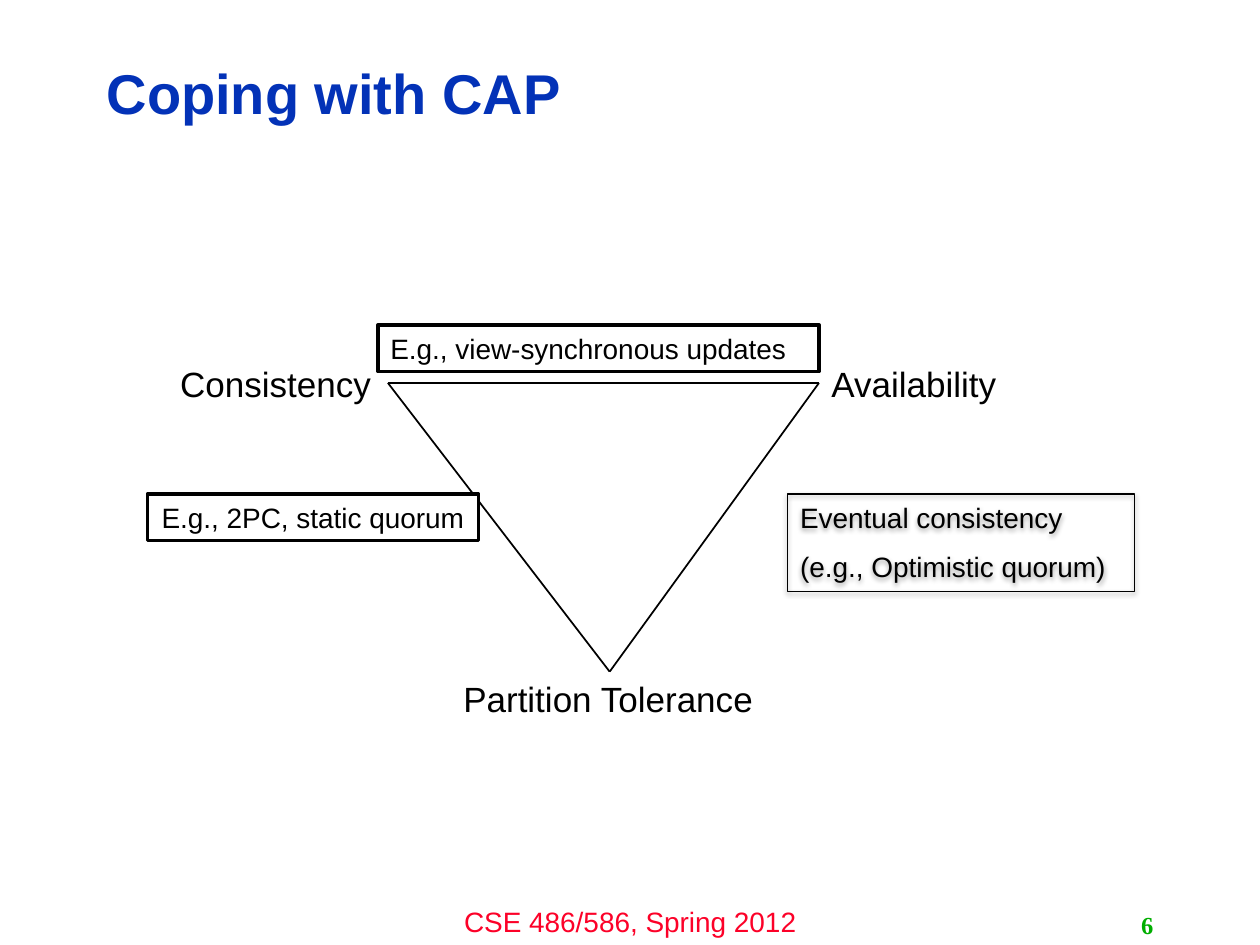
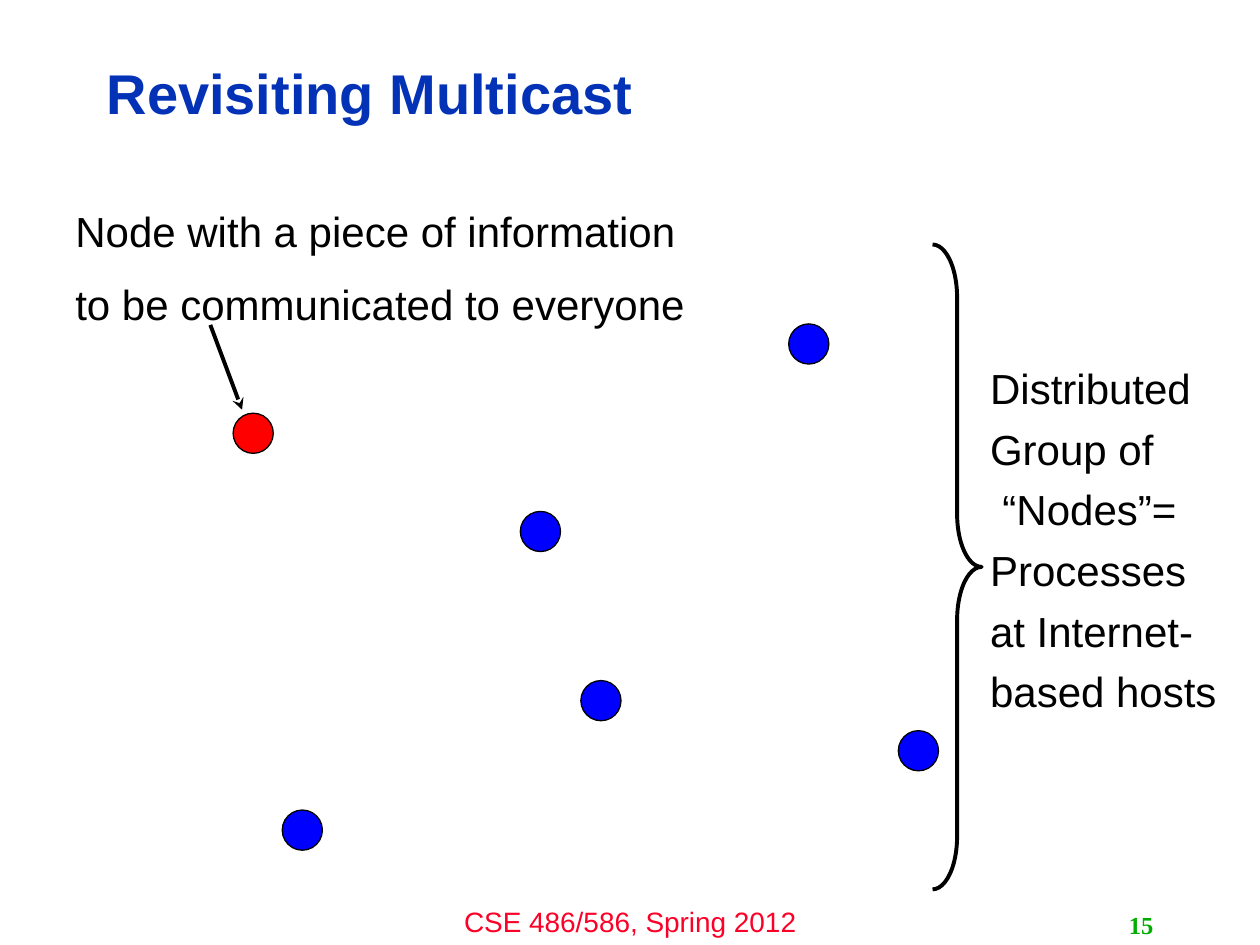
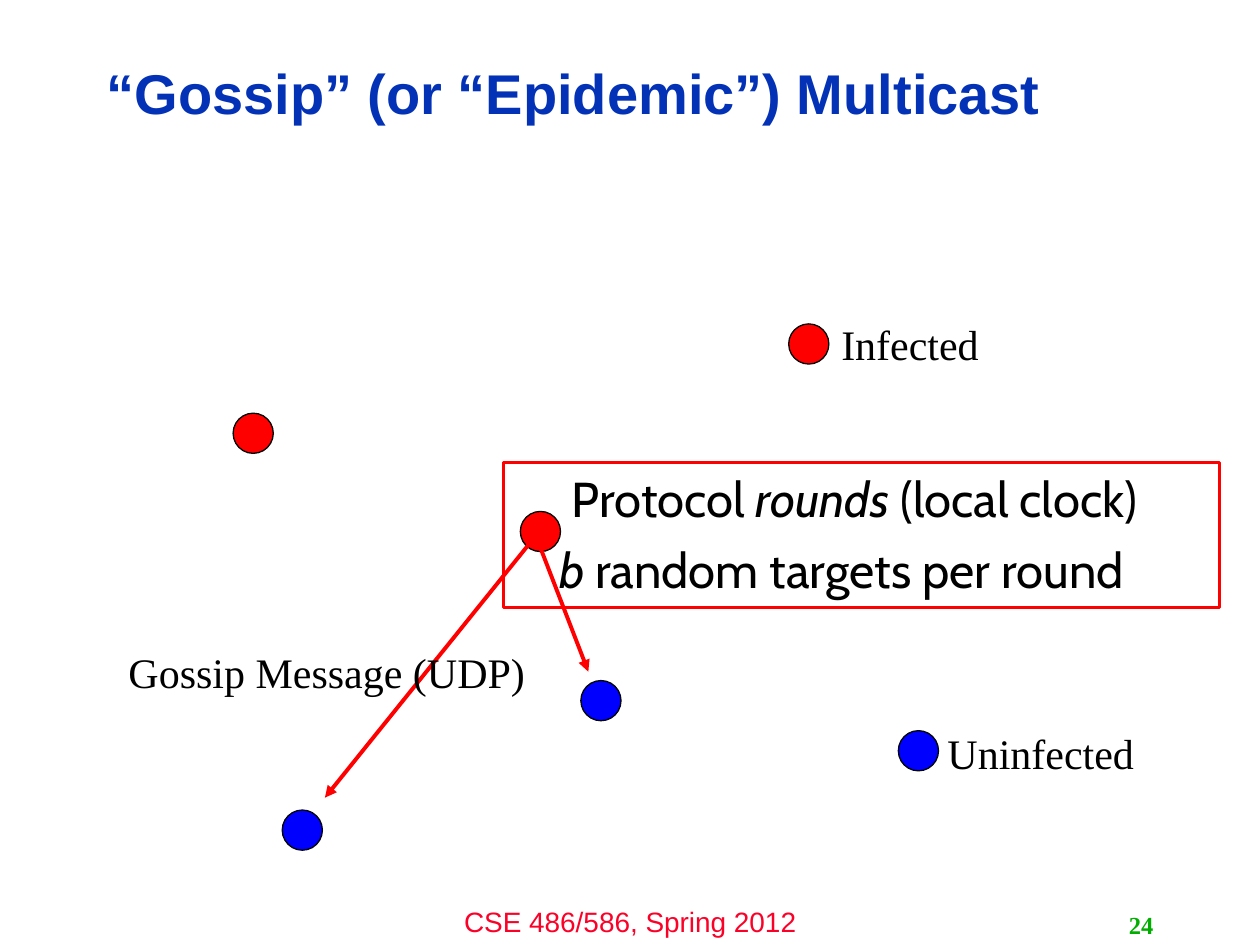
from collections import namedtuple

from lxml.etree import SubElement
from pptx import Presentation
from pptx.dml.color import RGBColor
from pptx.enum.shapes import MSO_CONNECTOR, MSO_SHAPE
from pptx.enum.text import MSO_ANCHOR as Anchor, PP_ALIGN as Align
from pptx.oxml.ns import qn
from pptx.util import Cm, Pt

COLORS = {
    "title": "0332B7",
    "footer": "FC0128",
    "number": "00AE00",
    "ink": "000000",
    "paper": "FFFFFF",
    "infected": "FF0000",
    "uninfected": "0000FF",
}
SANS, SERIF, ROUNDED = "Arial", "Times New Roman", "Cabin"
WIDE_GAP, NARROW_GAP = 0.55, 0.24  # space before, as a share of the text size

# All lengths are centimetres.
Box = namedtuple("Box", "left top width height")
Style = namedtuple("Style", "size font color bold gap", defaults=(SANS, "ink", False, WIDE_GAP))
Line = namedtuple("Line", "runs indent", defaults=(0,))

TITLE_BOX = Box(1.9, 0.92, 20.28, 2.05)
FOOTER_BOX = Box(8.47, 18.1, 8.47, 0.95)
NUMBER_BOX = Box(18.22, 18.24, 5.28, 0.81)
TRIANGLE_BOX = Box(7.82, 7.72, 8.69, 5.82)
NODE_FIELD = Box(4.7, 6.53, 14.22, 10.62)
CAPTION_BOX = Box(1.27, 4.01, 12.93, 2.82)
GROUP_BOX = Box(18.8, 4.93, 6.04, 13)
PROTOCOL_BOX = Box(10.16, 9.32, 14.43, 2.92)

NODE_SIZE = 0.81
NODES = {
    "west": (0, 1.8),
    "south": (7.01, 7.19),
    "southwest": (0.99, 9.8),
    "east": (13.41, 8.2),
    "center": (5.79, 3.78),
    "north": (11.2, 0),
}


def rgb(name):
    return RGBColor.from_string(COLORS[name])


def inside(region, left, top, width, height):
    """Box given relative to the corner of a region."""
    return Box(region.left + left, region.top + top, width, height)


def write(shape, lines, style, align=Align.LEFT, anchor=Anchor.TOP, spacing=None):
    """Fill a shape with lines; each is a string or a Line of (text, italic) runs."""
    frame = shape.text_frame
    frame.word_wrap = True
    frame.vertical_anchor = anchor
    for index, line in enumerate(lines):
        if isinstance(line, str):
            line = Line([(line, False)])
        paragraph = frame.paragraphs[0] if index == 0 else frame.add_paragraph()
        paragraph.alignment = align
        paragraph.line_spacing = spacing
        if index:
            paragraph.space_before = Pt(round(style.size * style.gap, 1))
        if line.indent:
            paragraph._p.get_or_add_pPr().set("marL", str(Cm(line.indent)))
        for text, italic in line.runs:
            run = paragraph.add_run()
            run.text = text
            run.font.name = style.font
            run.font.size = Pt(style.size)
            run.font.bold = style.bold
            run.font.italic = italic
            run.font.color.rgb = rgb(style.color)


def add_text(slide, box, lines, style, **layout):
    write(slide.shapes.add_textbox(*map(Cm, box)), lines, style, **layout)


def add_outline(slide, kind, box, line_width, line="ink", fill=None):
    shape = slide.shapes.add_shape(kind, *map(Cm, box))
    shape.shadow.inherit = False
    shape.line.color.rgb = rgb(line)
    shape.line.width = Pt(line_width)
    if fill:
        shape.fill.solid()
        shape.fill.fore_color.rgb = rgb(fill)
    else:
        shape.fill.background()
    return shape


def add_line(slide, region, start, end, width, color="ink", head=None):
    """Straight line between two points relative to a region."""
    points = [Cm(corner + offset) for point in (start, end)
              for corner, offset in zip(region[:2], point)]
    connector = slide.shapes.add_connector(MSO_CONNECTOR.STRAIGHT, *points)
    connector.line.color.rgb = rgb(color)
    connector.line.width = Pt(width)
    if head:
        SubElement(connector.line._get_or_add_ln(), qn("a:tailEnd"), type=head)
    SubElement(connector._element.spPr, qn("a:effectLst"))


def add_soft_shadow(shape):
    effects = shape._element.spPr.find(qn("a:effectLst"))
    shadow = SubElement(effects, qn("a:outerShdw"), blurRad=str(Pt(3.1)), dist=str(Pt(1.6)),
                        dir=str(90 * 60000), rotWithShape="0")
    color = SubElement(shadow, qn("a:srgbClr"), val=COLORS["ink"])
    SubElement(color, qn("a:alpha"), val="38000")


def start_slide(presentation, title, number):
    """Blank slide with the shared title, footer and page number."""
    slide = presentation.slides.add_slide(presentation.slide_layouts[6])
    add_text(slide, FOOTER_BOX, ["CSE 486/586, Spring 2012"], Style(16, color="footer"),
             align=Align.CENTER)
    add_text(slide, TITLE_BOX, [title], Style(32, color="title", bold=True),
             anchor=Anchor.MIDDLE, spacing=0.9)
    add_text(slide, NUMBER_BOX, [str(number)], Style(14, SERIF, "number", True),
             align=Align.RIGHT, anchor=Anchor.MIDDLE)
    return slide


def draw_cap_triangle(slide, region):
    corners = [(0, 0), (region.width, 0), (4.47, region.height)]
    for index, corner in enumerate(corners):
        add_line(slide, region, corner, corners[(index + 1) % 3], 1)
    for text, left, top, width in (
        ("Consistency", -4.44, -0.53, 4.42),
        ("Availability", region.width, -0.53, 3.89),
        ("Partition Tolerance", 1.27, region.height, 6.4),
    ):
        add_text(slide, inside(region, left, top, width, 1.04), [text], Style(20))


def draw_cap_examples(slide, region):
    for text, left, top, width, align in (
        ("E.g., view-synchronous updates", -0.2, -1.17, 8.89, Align.LEFT),
        ("E.g., 2PC, static quorum", -4.85, 2.24, 6.68, Align.CENTER),
    ):
        box = inside(region, left, top, width, 0.94)
        example = add_outline(slide, MSO_SHAPE.RECTANGLE, box, 2, fill="paper")
        write(example, [text], Style(16), align=align)
    eventual = add_outline(slide, MSO_SHAPE.RECTANGLE, inside(region, 8.06, 2.24, 6.99, 1.96), 0.75)
    add_soft_shadow(eventual)
    write(eventual, ["Eventual consistency", "(e.g., Optimistic quorum)"], Style(16))


def draw_nodes(slide, region, infected):
    for name, (left, top) in NODES.items():
        add_outline(slide, MSO_SHAPE.OVAL, inside(region, left, top, NODE_SIZE, NODE_SIZE), 0.75,
                    fill="infected" if name in infected else "uninfected")


def draw_node_group(slide, region):
    """Brace with the description of the group to its right."""
    brace = add_outline(slide, MSO_SHAPE.RIGHT_BRACE, inside(region, 0, 0, 0.99, region.height), 2.25)
    brace.adjustments[0] = 1.08
    lines = ["Distributed", "Group of", Line([("“Nodes”=", False)], 0.25),
             "Processes", "at Internet-", "based hosts"]
    add_text(slide, inside(region, 0.91, 2.26, 5.13, 7.44), lines, Style(24, gap=NARROW_GAP))


def draw_gossip(slide, region):
    """Messages sent from the center node, and the node labels."""
    for target in ((1.85, 9.55), (7.16, 7.01)):
        add_line(slide, region, (6.1, 4.27), target, 2.25, "infected", "triangle")
    for text, left, top, width in (
        ("Infected", 12.01, -0.23, 3.6),
        ("Uninfected", 14.15, 8.02, 4.6),
        ("Gossip Message (UDP)", -2.36, 6.37, 8.8),
    ):
        add_text(slide, inside(region, left, top, width, 1.27), [text], Style(24, SERIF))


def draw_protocol(slide, box):
    panel = add_outline(slide, MSO_SHAPE.RECTANGLE, box, 1.75, line="infected")
    write(panel, [
        Line([("Protocol ", False), ("rounds", True), (" (local clock)", False)], 1.12),
        Line([("b ", True), ("random targets per round", False)], 0.86),
    ], Style(28, ROUNDED, gap=NARROW_GAP))


def build_cap_slide(presentation):
    slide = start_slide(presentation, "Coping with CAP", 6)
    draw_cap_triangle(slide, TRIANGLE_BOX)
    draw_cap_examples(slide, TRIANGLE_BOX)


def build_multicast_slide(presentation):
    slide = start_slide(presentation, "Revisiting Multicast", 15)
    draw_nodes(slide, NODE_FIELD, {"west"})
    draw_node_group(slide, GROUP_BOX)
    add_text(slide, CAPTION_BOX,
             ["Node with a piece of information", "to be communicated to everyone"], Style(24))
    add_line(slide, NODE_FIELD, (-0.46, 0.02), (0.18, 1.73), 2.25, head="stealth")


def build_gossip_slide(presentation):
    slide = start_slide(presentation, "“Gossip” (or “Epidemic”) Multicast", 24)
    draw_nodes(slide, NODE_FIELD, {"west", "center", "north"})
    draw_gossip(slide, NODE_FIELD)
    draw_protocol(slide, PROTOCOL_BOX)


def main():
    presentation = Presentation()
    presentation.slide_width = Cm(25.4)
    presentation.slide_height = Cm(19.05)
    build_cap_slide(presentation)
    build_multicast_slide(presentation)
    build_gossip_slide(presentation)
    presentation.save("out.pptx")


if __name__ == "__main__":
    main()
